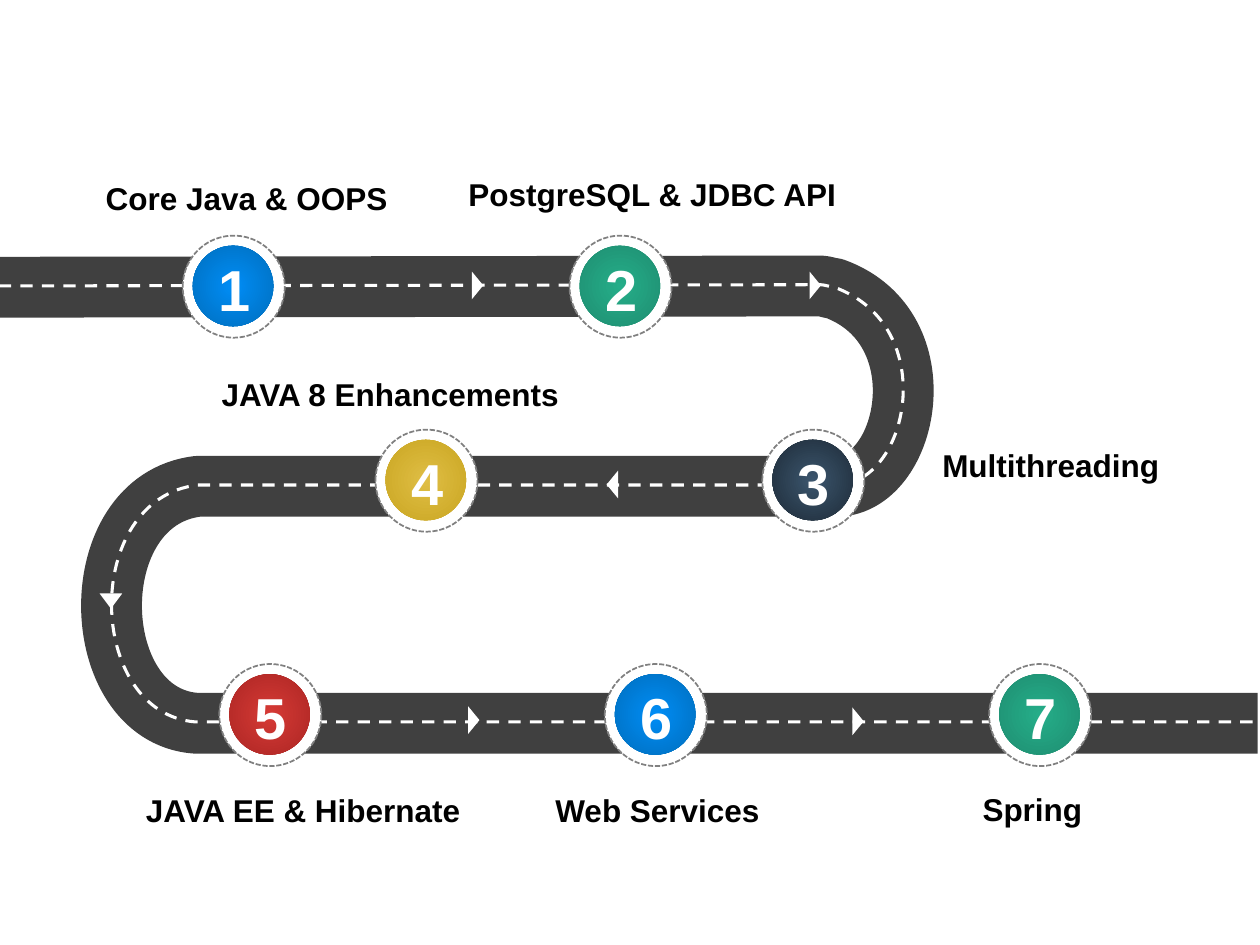
"""Builds a learning roadmap slide: a winding road with seven numbered stops."""
from dataclasses import dataclass

from lxml import etree
from pptx import Presentation
from pptx import util as u
from pptx.dml.color import RGBColor
from pptx.enum import dml, shapes, text
from pptx.oxml.ns import qn


@dataclass(frozen=True)
class Theme:
    """Colours, font and sizes of the slide."""
    font: str = "Arial"
    ink: str = "000000"
    paper: str = "FFFFFF"
    road: str = "404040"
    ring: str = "808080"
    blue: tuple = ("008DF6", "0070C0")
    green: tuple = ("25AD89", "1F9072")
    navy: tuple = ("3B556D", "202E3B")
    gold: tuple = ("DFBE45", "CBA723")
    red: tuple = ("D63A36", "AE2724")
    label_size: float = 18
    number_size: float = 33
    road_width: float = 34.75
    lane_width: float = 1.75
    ring_width: float = 1


# Each step is one point for a straight line or three points for a curve.
ROAD = [
    [(-0.01, 2.28)],
    [(6.51, 2.27)],
    [(6.55, 2.27), (6.59, 2.29), (6.62, 2.29)],
    [(7.48, 2.6), (7.21, 3.88), (6.62, 3.86)],
    [(1.57, 3.86)],
    [(0.64, 3.97), (0.68, 5.67), (1.55, 5.74)],
    [(9.98, 5.74)],
]


def add_text(tf, content, *, font, size, color, bold=True, align=text.PP_ALIGN.LEFT):
    """Write one formatted paragraph into a text frame."""
    p = tf.paragraphs[0]
    p.alignment = align
    r = p.add_run()
    r.text = content
    r.font.name, r.font.size, r.font.bold = font, u.Pt(size), bold
    r.font.color.rgb = RGBColor.from_string(color)


class Roadmap:
    """Holds the theme and the current slide and draws its elements."""

    def __init__(self, s, theme):
        """Keep the slide and its style."""
        self.s, self.theme = s, theme

    def label(self, content, left, top, width, height=0.4, *, size=None, color=None,
              align=text.PP_ALIGN.LEFT, anchor=text.MSO_ANCHOR.MIDDLE, wrap=True):
        """Add a text box."""
        th = self.theme
        box = self.s.shapes.add_textbox(*map(u.Inches, (left, top, width, height)))
        tf = box.text_frame
        tf.word_wrap = wrap
        tf.vertical_anchor = anchor
        add_text(tf, content, font=th.font, size=size or th.label_size,
                 color=color or th.ink, align=align)

    def outline(self, sp, color, width, dash=None):
        """Set the line of a shape."""
        sp.line.color.rgb = RGBColor.from_string(color)
        sp.line.width = u.Pt(width)
        if dash:
            sp.line.dash_style = dash

    def curve(self, steps, color, width, dash=None, dy=0):
        """Add an open, unfilled path of straight lines and cubic curves."""
        start, *points = [(u.Inches(x), u.Inches(y + dy)) for step in steps for x, y in step]
        builder = self.s.shapes.build_freeform(*start)
        builder.add_line_segments(points, close=False)
        sp = builder.convert_to_shape()
        segments = iter(list(sp.element.iter(qn("a:lnTo"))))
        for step in steps[1:]:
            group = [next(segments) for _ in step]
            if len(group) == 3:
                cubic = etree.Element(qn("a:cubicBezTo"))
                group[0].addprevious(cubic)
                for line_to in group:
                    cubic.append(line_to[0])
                    line_to.getparent().remove(line_to)
        sp.shadow.inherit = False
        sp.fill.background()
        self.outline(sp, color, width, dash)

    def solid(self, kind, left, top, width, height, color):
        """Add a plain filled shape without a line."""
        sp = self.s.shapes.add_shape(kind, *map(u.Inches, (left, top, width, height)))
        sp.shadow.inherit = False
        sp.fill.solid()
        sp.fill.fore_color.rgb = RGBColor.from_string(color)
        sp.line.fill.background()
        return sp

    def arrow(self, left, top, angle, width=0.22, height=0.09):
        """Add a direction marker on the lane."""
        sp = self.solid(shapes.MSO_SHAPE.ISOSCELES_TRIANGLE, left, top, width, height,
                        self.theme.paper)
        sp.rotation = angle

    def radial(self, sp, colors):
        """Fill a shape with a gradient from its centre outwards."""
        sp.fill.gradient()
        for stop, position, color in zip(sp.fill.gradient_stops, (0, 0.93), colors):
            stop.position = position
            stop.color.rgb = RGBColor.from_string(color)
        grad = sp.element.spPr.find(qn("a:gradFill"))
        circle = etree.Element(qn("a:path"), path="circle")
        etree.SubElement(circle, qn("a:fillToRect"), l="50000", t="50000", r="50000", b="50000")
        grad.replace(grad.find(qn("a:lin")), circle)

    def stop(self, number, left, top, colors):
        """Add a numbered stop: ring, disc and number."""
        th, oval = self.theme, shapes.MSO_SHAPE.OVAL
        ring = self.solid(oval, left, top, 0.81, 0.81, th.paper)
        self.outline(ring, th.ring, th.ring_width, dml.MSO_LINE.SQUARE_DOT)
        disc = self.solid(oval, left + 0.08, top + 0.08, 0.64, 0.64, th.paper)
        self.radial(disc, colors)
        self.label(str(number), left + 0.18, top + 0.09, 0.46, 0.66, size=th.number_size,
                   color=th.paper, align=text.PP_ALIGN.CENTER, wrap=False)


def main():
    """Build and save the slide."""
    th = Theme()
    prs = Presentation()
    prs.slide_width, prs.slide_height = u.Inches(10), u.Inches(7.5)
    roadmap = Roadmap(prs.slides.add_slide(prs.slide_layouts[6]), th)

    for content, left, top, width in [
            ("Core Java & OOPS", 0.74, 1.37, 2.7),
            ("JAVA 8 Enhancements", 1.66, 2.93, 3.21),
            ("JAVA EE & Hibernate", 1.06, 6.23, 2.77),
            ("Multithreading", 7.38, 3.49, 2.38),
            ("Web Services", 4.31, 6.23, 2.6),
            ("Spring", 7.7, 6.22, 2.57)]:
        roadmap.label(content, left, top, width)
    roadmap.label("PostgreSQL & JDBC API", 3.62, 1.34, 3.7, 0.71, anchor=text.MSO_ANCHOR.TOP)

    roadmap.curve(ROAD, th.road, th.road_width)
    roadmap.curve(ROAD, th.paper, th.lane_width, dml.MSO_LINE.DASH, dy=-0.01)

    for left, top, angle in [(3.68, 2.22, 90), (6.36, 2.22, 90), (4.75, 3.8, 270),
                             (3.65, 5.67, 90), (6.7, 5.68, 90)]:
        roadmap.arrow(left, top, angle)
    roadmap.arrow(0.79, 4.71, 180, 0.18, 0.12)

    upper, middle, lower = 1.87, 3.41, 5.27
    stops = [(1.45, upper, th.blue), (4.52, upper, th.green), (6.05, middle, th.navy),
             (2.98, middle, th.gold), (1.74, lower, th.red), (4.8, lower, th.blue),
             (7.85, lower, th.green)]
    for number, (left, top, colors) in enumerate(stops, 1):
        roadmap.stop(number, left, top, colors)

    prs.save("out.pptx")


main()
